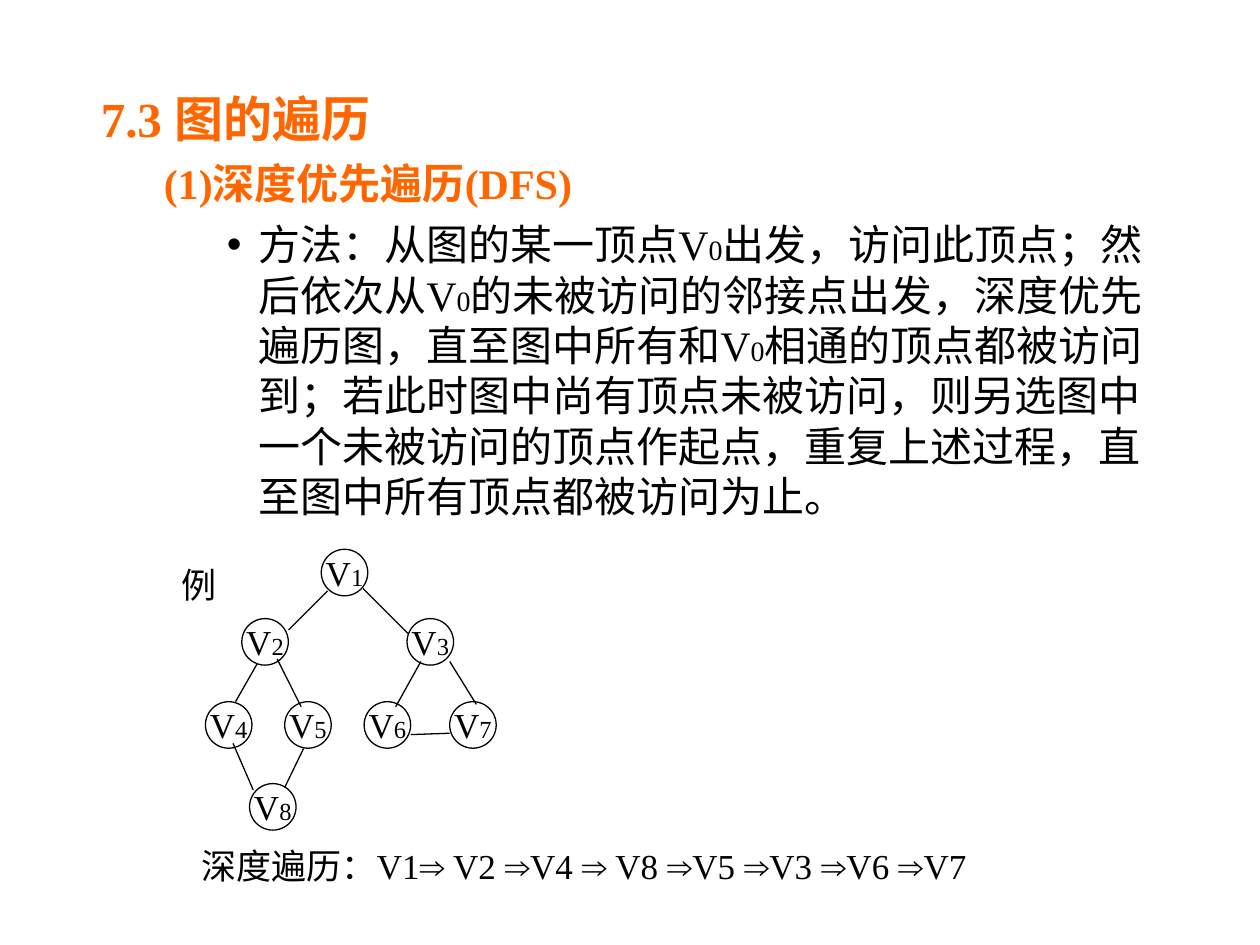
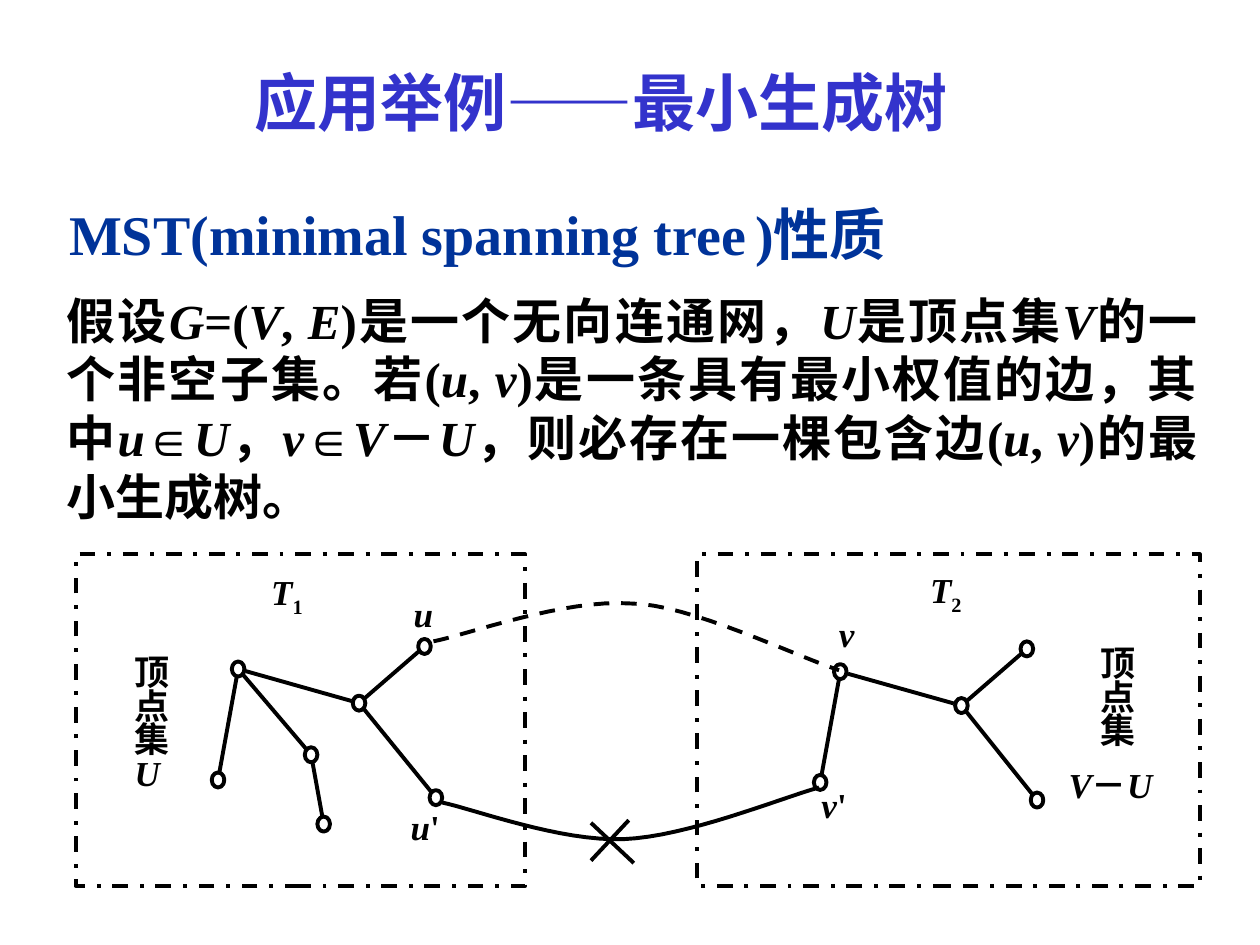
from math import hypot

from lxml.etree import SubElement
from pptx import Presentation
from pptx.dml.color import RGBColor
from pptx.enum.dml import MSO_LINE_DASH_STYLE as Dash
from pptx.enum.shapes import MSO_CONNECTOR_TYPE as Connector, MSO_SHAPE as Shape
from pptx.enum.text import MSO_ANCHOR as Anchor, MSO_AUTO_SIZE as AutoSize, PP_ALIGN as Align
from pptx.oxml.ns import qn
from pptx.util import Pt

SERIF, SANS, HAN = "Times New Roman", "Arial", "Noto Sans CJK SC"
BLACK, ORANGE, NAVY, VIOLET, GREY = "000000", "FF6600", "003399", "3333CC", "808080"
ITALIC, UPRIGHT = {"italic": True}, {"italic": False}
LINE_PITCH = 1.2
BOX_INSETS = (7.2, 6)
THIN, THICK = 0.75, 2.25

VERTEX_SIZE = 26.6
VERTICES = {
    1: (183.6, 313.9), 2: (138.2, 353.5), 3: (232.6, 353.5), 4: (117.4, 401),
    5: (162.7, 401), 6: (208.1, 401), 7: (257, 401), 8: (142.6, 447.8),
}
TREE_EDGES = [
    ((187.2, 337.7), (164.9, 360)), ((207.4, 336.2), (233.3, 362.2)),
    ((146.9, 379.4), (134.6, 401)), ((158.4, 376.6), (172.1, 403.9)),
    ((133.2, 424.8), (144.7, 451.4)), ((173.5, 427.7), (162.7, 450)),
    ((240.5, 378), (226.1, 403.9)), ((234.7, 419.8), (257, 419)),
    ((257, 378), (272.2, 402.5)),
]

NODE_WIDTH, NODE_HEIGHT, NODE_GAP = 7.2, 8.6, 4.5
NODES = {
    "a": (136.1, 382.3), "b": (205.2, 401.8), "u": (242.6, 369.4), "u'": (249.1, 455.8),
    "c": (177.8, 431.3), "d": (185, 470.9), "e": (124.6, 445.7),
    "v": (480.2, 383.8), "v'": (468.7, 447.1), "f": (549.4, 403.2),
    "g": (586.8, 370.8), "h": (592.6, 457.2),
}
NODE_EDGES = [
    ("u", "b"), ("b", "u'"), ("a", "c"), ("a", "e"), ("c", "d"), ("a", "b"),
    ("g", "f"), ("f", "h"), ("v", "v'"), ("v", "f"),
]


def color(code):
    """Turn a hex string into a colour."""
    return RGBColor.from_string(code)


def style_font(font, size, code=BLACK, bold=False, italic=False):
    """Set size, colour, weight and the Latin and Chinese typefaces."""
    font.size, font.bold, font.italic, font.name = Pt(size), bold, italic, SERIF
    font.color.rgb = color(code)
    SubElement(font._element, qn("a:ea"), typeface=HAN)


def write(para, marked, size, accent=None, pitch=None, **style):
    """Fill a paragraph; every second piece between bars gets the accent."""
    if pitch:
        para.line_spacing = pitch
    style_font(para.font, size, **style)
    for index, piece in enumerate(marked.split("|")):
        if not piece:
            continue
        span = para.add_run()
        span.text = piece
        if index % 2:
            for name, value in accent.items():
                setattr(span.font, name, value)


def set_frame(frame, insets, anchor=Anchor.TOP, wrap=True):
    """Set margins, anchor and wrapping of a text frame."""
    frame.auto_size = AutoSize.NONE
    frame.margin_left = frame.margin_right = Pt(insets[0])
    frame.margin_top = frame.margin_bottom = Pt(insets[1])
    frame.vertical_anchor, frame.word_wrap = anchor, wrap


def place(shape, left, top, width, height):
    """Move and size a placeholder."""
    shape.left, shape.top = Pt(left), Pt(top)
    shape.width, shape.height = Pt(width), Pt(height)


def add_text(page, area, marked, size, insets=BOX_INSETS, align=Align.LEFT, wrap=True, **style):
    """Add a one-paragraph text box."""
    box = page.shapes.add_textbox(*map(Pt, area))
    set_frame(box.text_frame, insets, wrap=wrap)
    para = box.text_frame.paragraphs[0]
    para.alignment = align
    write(para, marked, size, **style)
    return box


def add_label(page, area, marked, pitch=0.72, align=Align.CENTER, **style):
    """Add a small bold label without margins."""
    return add_text(page, area, marked, 20, insets=(0, 0), align=align,
                    pitch=pitch, bold=True, **style)


def add_outline(page, kind, area, weight, dash=None):
    """Add an unfilled preset shape with a black outline."""
    shape = page.shapes.add_shape(kind, *map(Pt, area))
    format_outline(shape, weight, dash)
    return shape


def format_outline(shape, weight, dash=None):
    """Leave only a black outline on a shape."""
    shape.shadow.inherit = False
    shape.fill.background()
    shape.line.color.rgb = color(BLACK)
    shape.line.width = Pt(weight)
    if dash:
        shape.line.dash_style = dash


def add_line(page, start, end, weight):
    """Add a straight black line."""
    line = page.shapes.add_connector(Connector.STRAIGHT, *map(Pt, start + end))
    line.line.color.rgb = color(BLACK)
    line.line.width = Pt(weight)
    SubElement(line._element.spPr, qn("a:effectLst"))


def join_nodes(page, first, second):
    """Join two nodes by a line that stops short of both."""
    (x1, y1), (x2, y2) = NODES[first], NODES[second]
    part = NODE_GAP / hypot(x2 - x1, y2 - y1)
    dx, dy = (x2 - x1) * part, (y2 - y1) * part
    add_line(page, (x1 + dx, y1 + dy), (x2 - dx, y2 - dy), THICK)


def bezier(points, steps=16):
    """Return points along one cubic curve, without its start."""
    result = []
    for step in range(1, steps + 1):
        t = step / steps
        weights = ((1 - t) ** 3, 3 * t * (1 - t) ** 2, 3 * t * t * (1 - t), t ** 3)
        result.append(tuple(int(Pt(sum(w * p[axis] for w, p in zip(weights, points))))
                            for axis in (0, 1)))
    return result


def add_curve(page, points, dash=None):
    """Add an open curve through consecutive cubic segments."""
    builder = page.shapes.build_freeform(*(int(Pt(value)) for value in points[0]))
    for first in range(0, len(points) - 1, 3):
        builder.add_line_segments(bezier(points[first:first + 4]), close=False)
    format_outline(builder.convert_to_shape(), THICK, dash)


def set_indent(para, level, left, hanging, bullet=None):
    """Set the level, the hanging indent and the bullet."""
    para.level = level
    props = para._p.get_or_add_pPr()
    props.set("marL", str(int(Pt(left))))
    props.set("indent", str(int(Pt(-hanging))))
    if bullet:
        SubElement(props, qn("a:buFont"), typeface=SANS)
        SubElement(props, qn("a:buChar"), char=bullet)
    else:
        SubElement(props, qn("a:buNone"))


def add_text_shadow(span):
    """Give the letters of a run a small grey shadow."""
    span.font.color.rgb = color(VIOLET)
    effects = SubElement(span.font._element, qn("a:effectLst"))
    shadow = SubElement(effects, qn("a:outerShdw"), dist="25400", dir="2700000")
    SubElement(shadow, qn("a:srgbClr"), val=GREY)


def add_vertex(page, number, corner):
    """Add a numbered vertex of the example graph."""
    circle = add_outline(page, Shape.OVAL, corner + (VERTEX_SIZE, VERTEX_SIZE), THIN)
    set_frame(circle.text_frame, (7.2, 3.6), Anchor.MIDDLE, wrap=False)
    para = circle.text_frame.paragraphs[0]
    para.alignment = Align.CENTER
    write(para, f"V|{number}", 20, {"size": Pt(14)})


def build_traversal(deck):
    """Build the slide on depth-first traversal."""
    page = deck.slides.add_slide(deck.slide_layouts[1])
    title = page.shapes.title
    title._element.getparent().remove(title._element)
    body = page.placeholders[1]
    place(body, 50.4, 44.6, 623.5, 269.3)
    frame = body.text_frame
    set_frame(frame, BOX_INSETS)
    method = ("方法：从图的某一顶点V|0|出发，访问此顶点；然后依次从V|0|的未被访问的邻接点出发，"
              "深度优先遍历图，直至图中所有和V|0|相通的顶点都被访问到；若此时图中尚有顶点未被访问，"
              "则另选图中一个未被访问的顶点作起点，重复上述过程，直至图中所有顶点都被访问为止。")
    outline = [
        ("7.3 图的遍历", 28, ORANGE, 27.4, 27.4, None),
        ("(1)深度优先遍历(DFS)", 24, ORANGE, 58.3, 22.3, None),
        (method, 24, BLACK, 90, 18, "•"),
    ]
    for level, (marked, size, code, left, hanging, bullet) in enumerate(outline):
        para = frame.add_paragraph() if level else frame.paragraphs[0]
        set_indent(para, level, left, hanging, bullet)
        para.space_before = Pt(6 if level else 0)
        write(para, marked, size, {"size": Pt(16)}, Pt(size * LINE_PITCH),
              code=code, bold=code == ORANGE)

    for number, corner in VERTICES.items():
        add_vertex(page, number, corner)
    for start, end in TREE_EDGES:
        add_line(page, start, end, THIN)
    add_text(page, (96.5, 316.1, 34.6, 31.7), "例", 20, align=Align.CENTER,
             wrap=False, pitch=Pt(24))
    add_text(page, (108, 476.6, 467.3, 31.7),
             "深度遍历：V1|⇒| V2 |⇒|V4 |⇒| V8 |⇒|V5 |⇒|V3 |⇒|V6 |⇒|V7", 20,
             accent={"name": SANS}, wrap=False, pitch=Pt(24))


def build_spanning_tree(deck):
    """Build the slide on the minimal spanning tree property."""
    page = deck.slides.add_slide(deck.slide_layouts[5])
    title = page.shapes.title
    place(title, 138.2, 30.2, 459.4, 50.4)
    set_frame(title.text_frame, BOX_INSETS)
    para = title.text_frame.paragraphs[0]
    para.alignment = Align.LEFT
    write(para, "应用举例——最小生成树", 36, pitch=Pt(36 * LINE_PITCH), code=VIOLET, bold=True)
    add_text_shadow(para.runs[0])

    add_text(page, (32.4, 108, 585.4, 46.1), "MST(minimal spanning tree| |)性质", 32,
             accent={"size": Pt(18)}, pitch=Pt(32 * LINE_PITCH), code=NAVY, bold=True)
    add_text(page, (31, 159.8, 660.2, 141.8),
             "假设|G|=(|V|, |E|)是一个无向连通网，|U|是顶点集|V|的一个非空子集。若(|u|, |v|)"
             "是一条具有最小权值的边，其中|u|∈|U|，|v|∈|V|－|U|，则必存在一棵包含边(|u|, |v|)"
             "的最小生成树。", 28, accent=ITALIC, align=Align.JUSTIFY,
             pitch=Pt(28 * LINE_PITCH), bold=True)

    for left, width in ((398.2, 287.3), (43.2, 257)):
        add_outline(page, Shape.RECTANGLE, (left, 316.8, width, 189.4), THICK, Dash.DASH_DOT)
    add_curve(page, [(252.7, 458.6), (270, 462.2), (320.4, 481), (356.4, 479.5),
                     (392.4, 478.1), (445, 456.5), (468, 450)])
    add_curve(page, [(247.7, 366.5), (266.4, 362.9), (322.6, 342), (360.7, 344.9),
                     (393.1, 344.9), (455, 375.1), (479.5, 383)], Dash.DASH)
    add_line(page, (337.7, 470.2), (362.2, 493.2), THICK)
    add_line(page, (359.3, 468.7), (337.7, 491.8), THICK)
    for x, y in NODES.values():
        add_outline(page, Shape.OVAL, (x - NODE_WIDTH / 2, y - NODE_HEIGHT / 2,
                                       NODE_WIDTH, NODE_HEIGHT), THICK)
    for first, second in NODE_EDGES:
        join_nodes(page, first, second)

    for area, marked in (
        ((232.6, 466.6, 20.9, 15.1), "u|'"), ((473, 356.4, 21.6, 16.6), "v"),
        ((464.4, 453.6, 24.5, 18), "v|'"), ((231.8, 344.9, 20.2, 18), "u"),
    ):
        add_label(page, area, marked, accent=UPRIGHT, italic=True)
    for left, top, marked in ((143.3, 330.5, "T|1"), (519.8, 329, "T|2")):
        label = add_label(page, (left, top, 41.4, 18), marked, accent=UPRIGHT, italic=True)
        label.text_frame.paragraphs[0].runs[1].font._element.set("baseline", "-25000")
    for area, marked, pitch in (
        ((77, 376.6, 24.5, 78.5), "顶点集|U", 19.2),
        ((628.6, 371.5, 20.2, 60.5), "顶点集", 19.2),
        ((610.6, 436.3, 76.3, 24.5), "|V|－|U", 24),
    ):
        add_label(page, area, marked, Pt(pitch), Align.JUSTIFY, accent=ITALIC)


def main():
    """Build and save the two slides."""
    deck = Presentation()
    deck.slide_width, deck.slide_height = Pt(720), Pt(540)
    build_traversal(deck)
    build_spanning_tree(deck)
    deck.save("out.pptx")


if __name__ == "__main__":
    main()
